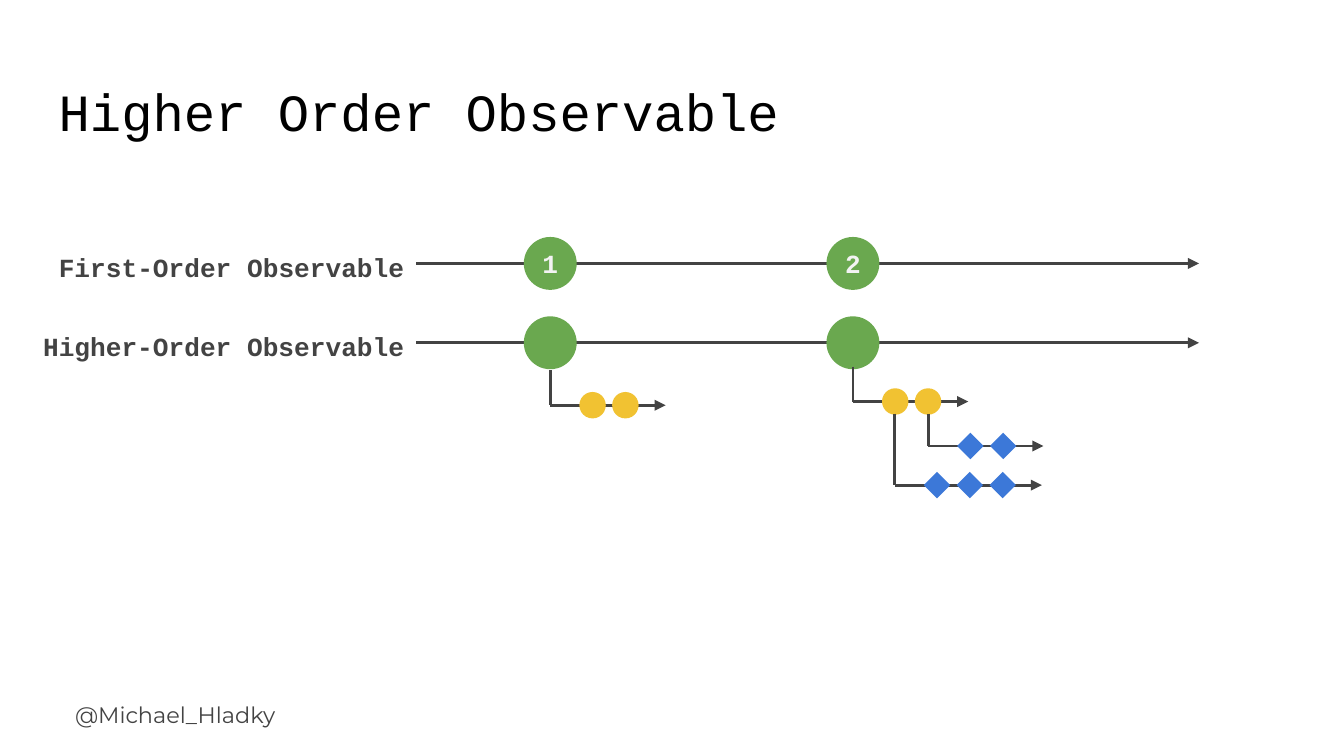
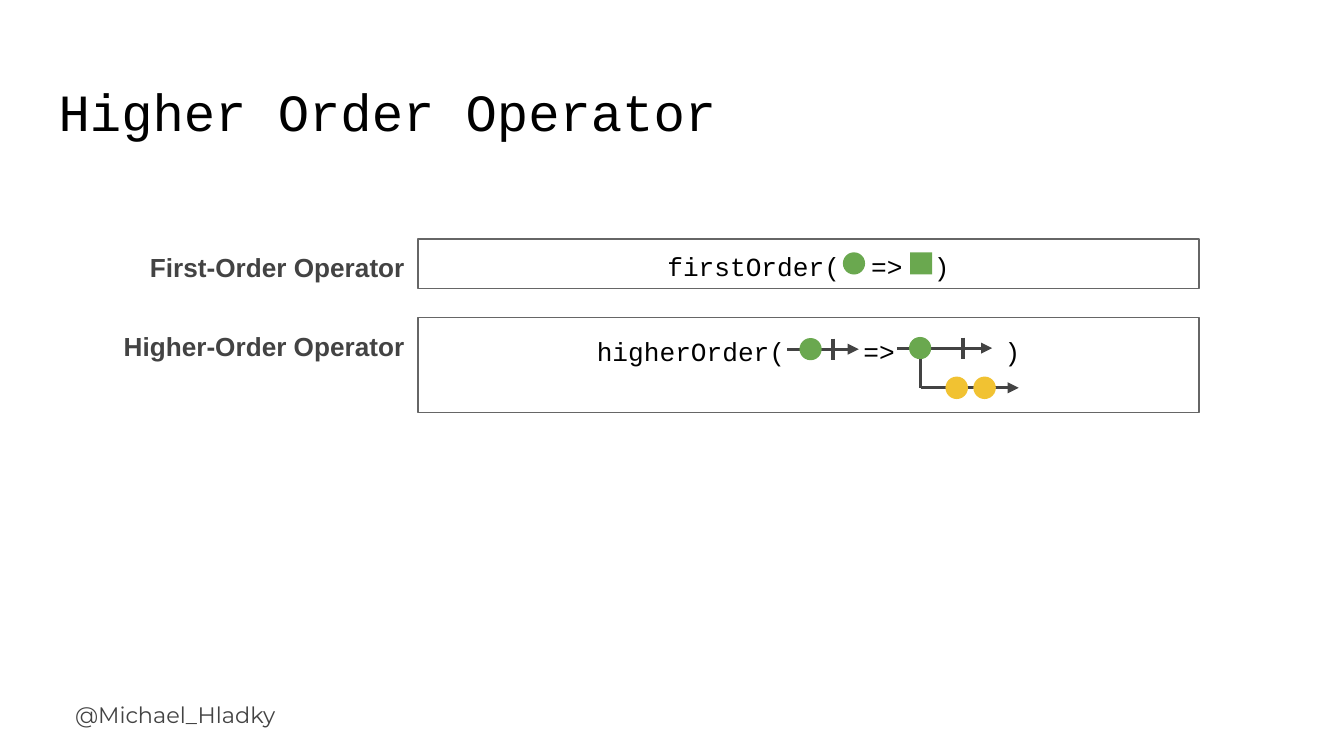
from lxml import etree
from pptx import Presentation
from pptx.dml.color import RGBColor
from pptx.enum.shapes import MSO_CONNECTOR, MSO_SHAPE
from pptx.enum.text import MSO_ANCHOR, PP_ALIGN
from pptx.oxml.ns import qn
from pptx.util import Cm, Pt

STRAIGHT = MSO_CONNECTOR.STRAIGHT
CIRCLE, DIAMOND, SQUARE = MSO_SHAPE.OVAL, MSO_SHAPE.DIAMOND, MSO_SHAPE.RECTANGLE
TOP, MIDDLE = MSO_ANCHOR.TOP, MSO_ANCHOR.MIDDLE
LEFT, CENTER, RIGHT = PP_ALIGN.LEFT, PP_ALIGN.CENTER, PP_ALIGN.RIGHT

COLORS = {
    "title": "000000", "ink": "434343", "number": "F3F3F3", "paper": "FFFFFF",
    "frame": "666666", "outer": "6AA84F", "inner": "F1C232", "innermost": "3C78D8",
}
CODE, LABEL, HANDLE = "Courier New", "Arial", "Montserrat"
BODY_SIZE = 14
CHAR_WIDTH = BODY_SIZE * 0.6 * 2.54 / 72
INSET = 0.25
LABEL_RIGHT, LABEL_HEIGHT = 7.9, 1.27
ROW_AXES = (4.98, 6.48)
EVENT_CENTERS = (10.4, 16.12)


def color(name):
    """Return a palette colour."""
    return RGBColor.from_string(COLORS[name])


def write(frame, text, size, font, ink, bold=False, align=LEFT, anchor=TOP,
          inset=INSET, spacing=None, tabs=()):
    """Fill a text frame with one styled paragraph."""
    frame.word_wrap = True
    frame.vertical_anchor = anchor
    frame.margin_left = frame.margin_right = Cm(inset)
    frame.margin_top = frame.margin_bottom = Cm(inset)
    paragraph = frame.paragraphs[0]
    paragraph.text = text
    paragraph.alignment = align
    if spacing:
        paragraph.line_spacing = spacing
    if tabs:
        stops = etree.SubElement(paragraph._p.get_or_add_pPr(), qn("a:tabLst"))
        for position in tabs:
            etree.SubElement(stops, qn("a:tab"), pos=str(Cm(position)), algn="l")
    paragraph.font.size = Pt(size)
    paragraph.font.name = font
    paragraph.font.bold = bold
    paragraph.font.color.rgb = color(ink)


def text_box(slide, box, text, size, font, ink, **style):
    """Add styled text in a box given in centimetres."""
    area = slide.shapes.add_textbox(*map(Cm, box))
    write(area.text_frame, text, size, font, ink, **style)


def draw_line(slide, start, end, width=1.5, arrow=False):
    """Draw a straight line, with an arrowhead at its end if asked."""
    stroke = slide.shapes.add_connector(STRAIGHT, *map(Cm, start + end))
    stroke.line.color.rgb = color("ink")
    stroke.line.width = Pt(width)
    if arrow:
        etree.SubElement(stroke.line._get_or_add_ln(), qn("a:tailEnd"), type="triangle")
    etree.SubElement(stroke._element.spPr, qn("a:effectLst"))


def draw_mark(slide, kind, center, size, fill):
    """Draw a filled borderless mark around its center."""
    x, y = center
    mark = slide.shapes.add_shape(kind, *map(Cm, (x - size / 2, y - size / 2, size, size)))
    mark.shadow.inherit = False
    mark.fill.solid()
    mark.fill.fore_color.rgb = color(fill)
    mark.line.fill.background()
    return mark


def row_label(slide, axis, width, text, font):
    """Write a row's label, ending where its row begins."""
    box = (LABEL_RIGHT - width, axis - 0.62, width, LABEL_HEIGHT)
    text_box(slide, box, text, BODY_SIZE, font, "ink", bold=True,
             align=RIGHT, anchor=MIDDLE, spacing=1.15)


def timeline(slide, left, axis, length, numbers):
    """Draw a long arrow with its large, optionally numbered events."""
    draw_line(slide, (left, axis), (left + length, axis), arrow=True)
    for center, number in zip(EVENT_CENTERS, numbers):
        event = draw_mark(slide, CIRCLE, (center, axis), 1, "outer")
        if number:
            write(event.text_frame, number, BODY_SIZE, CODE, "number", bold=True,
                  align=CENTER, anchor=MIDDLE, inset=0)


def branch(slide, left, top, drop, kind, fill, count=2, scale=1):
    """Draw a stream that drops from an event and runs right through its marks."""
    axis = top + drop
    length = (2.18 + 0.6 * (count - 2)) * scale
    draw_line(slide, (left, top), (left, axis))
    draw_line(slide, (left, axis), (left + length, axis), arrow=True)
    for index in range(count):
        center = left + (0.8 + 0.62 * index) * scale
        draw_mark(slide, kind, (center, axis), 0.5 * scale, fill)


def short_stream(slide, left, axis, length, end):
    """Draw a small completing stream with one event."""
    draw_line(slide, (left, axis), (left + length, axis), arrow=True)
    draw_line(slide, (left + end, axis - 0.2), (left + end, axis + 0.2), width=2.25)
    draw_mark(slide, CIRCLE, (left + 0.44, axis), 0.42, "outer")


def operator_box(slide, box, call, columns, anchor):
    """Draw a framed call whose parts start at the given character columns."""
    frame = slide.shapes.add_shape(SQUARE, *map(Cm, box))
    frame.shadow.inherit = False
    frame.fill.solid()
    frame.fill.fore_color.rgb = color("paper")
    frame.line.color.rgb = color("frame")
    frame.line.width = Pt(0.75)
    tabs = [column * CHAR_WIDTH for column in columns]
    write(frame.text_frame, call, BODY_SIZE, CODE, "title", anchor=anchor,
          spacing=1.15, tabs=tabs)
    call_width = (columns[-1] + 1) * CHAR_WIDTH
    frame.text_frame.margin_left = Cm((box[2] - call_width) / 2)
    frame.text_frame.margin_right = Cm(0)


def base_slide(deck, title):
    """Add a slide with the shared handle and title."""
    slide = deck.slides.add_slide(deck.slide_layouts[6])
    text_box(slide, (1.17, 13, 5.69, 1.14), "@Michael_Hladky", 12, HANDLE, "ink")
    text_box(slide, (0.86, 1.24, 21.97, 1.6), title, 28, CODE, "title")
    return slide


def observable_slide(deck):
    """Compare first-order and higher-order observables."""
    slide = base_slide(deck, "Higher Order Observable")
    rows = (("First-Order Observable", 7.11, ("1", "2")),
            ("Higher-Order Observable", 7.9, ("", "")))
    for axis, (label, width, numbers) in zip(ROW_AXES, rows):
        row_label(slide, axis, width, label, CODE)
        timeline(slide, 7.87, axis, 14.79, numbers)
    first, second = EVENT_CENTERS
    branch(slide, first, 7, 0.66, CIRCLE, "inner")
    branch(slide, second, 6.93, 0.66, CIRCLE, "inner")
    branch(slide, 17.54, 7.82, 0.61, DIAMOND, "innermost")
    branch(slide, 16.91, 7.82, 1.35, DIAMOND, "innermost", count=3)


def operator_slide(deck):
    """Compare first-order and higher-order operators."""
    slide = base_slide(deck, "Higher Order Operator")
    rows = (("First-Order Operator", 6.02), ("Higher-Order Operator", 6.7))
    for axis, (label, width) in zip(ROW_AXES, rows):
        row_label(slide, axis, width, label, LABEL)

    operator_box(slide, (7.9, 4.52, 14.76, 0.94), "firstOrder(\t=>\t)", (13, 17), MIDDLE)
    draw_mark(slide, CIRCLE, (16.14, 4.98), 0.42, "outer")
    draw_mark(slide, SQUARE, (17.41, 4.98), 0.42, "outer")

    operator_box(slide, (7.9, 6, 14.76, 1.8), "higherOrder(\t=>\t)", (17, 26), TOP)
    short_stream(slide, 14.88, 6.6, 1.35, 0.87)
    short_stream(slide, 16.95, 6.58, 1.8, 1.25)
    branch(slide, 17.4, 6.78, 0.55, CIRCLE, "inner", scale=0.85)


def main():
    """Build and save the deck."""
    deck = Presentation()
    deck.slide_width, deck.slide_height = Cm(25.4), Cm(14.29)
    observable_slide(deck)
    operator_slide(deck)
    deck.save("out.pptx")


if __name__ == "__main__":
    main()
